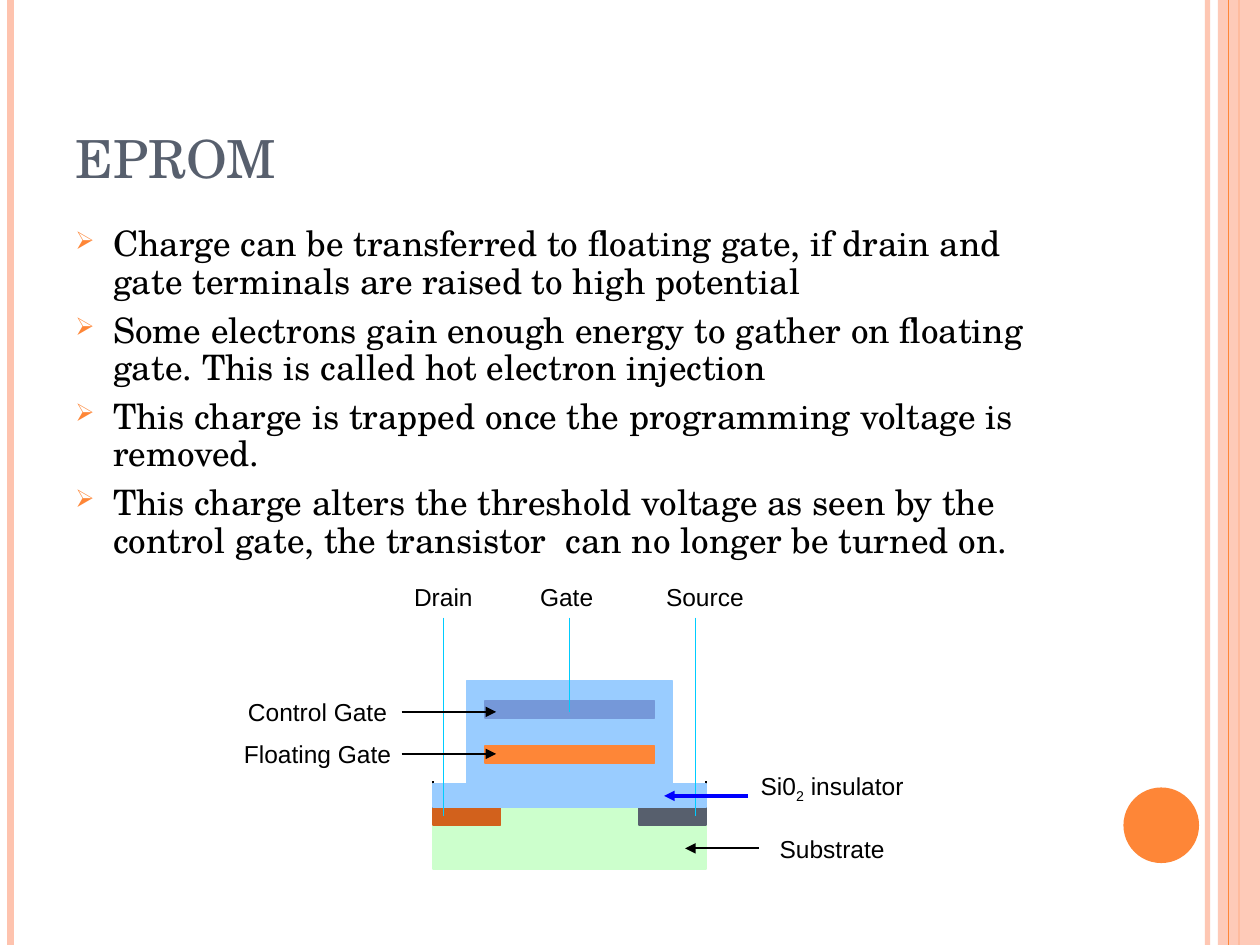
from lxml import etree
from pptx import Presentation
from pptx.dml.color import RGBColor
from pptx.enum import shapes, text
from pptx.oxml.ns import qn
from pptx.util import Pt

SERIF, SANS = "TeX Gyre Schola", "Arial"
PEACH, ORANGE, SLATE = "FEC3AE", "FE8637", "575F6D"
BLACK, SKY, CYAN = "000000", "99CCFF", "00CCFF"


def paint(form, color, alpha=100):
    """Give a fill or line fill a solid colour, alpha in percent."""
    form.solid()
    form.fore_color.rgb = RGBColor.from_string(color)
    if alpha < 100:
        for node in form._xPr.iter(qn("a:srgbClr")):
            add(node, "alpha", val=alpha * 1000)


def add(node, tag, **attrs):
    return etree.SubElement(node, qn("a:" + tag),
                            {key: str(val) for key, val in attrs.items()})


class Board:
    def __init__(self, slide):
        self.slide = slide
        self.items = slide.shapes

    def style(self, para, font, size, color):
        for run in para.runs:
            run.font.name, run.font.size = font, Pt(size)
            paint(run.font.fill, color)

    def title(self, words, x, y, w, h):
        box = self.items.title
        box.left, box.top, box.width, box.height = map(Pt, (x, y, w, h))
        frame = box.text_frame
        frame.text = words
        frame.auto_size = text.MSO_AUTO_SIZE.NONE
        frame.vertical_anchor = text.MSO_ANCHOR.BOTTOM
        para = frame.paragraphs[0]
        para.alignment = text.PP_ALIGN.LEFT
        self.style(para, SERIF, 30, SLATE)
        para.runs[0].font._element.set("cap", "small")

    def frame(self, x, y, w, h):
        frame = self.items.add_textbox(*map(Pt, (x, y, w, h))).text_frame
        frame.word_wrap = True
        return frame

    def bullets(self, lines, x, y, w, h):
        frame = self.frame(x, y, w, h)
        frame.text = "\n".join(lines)
        for para in frame.paragraphs:
            para.line_spacing, para.space_before = 0.9, Pt(6)
            self.style(para, SERIF, 20, BLACK)
            props = para._p.get_or_add_pPr()
            props.set("marL", str(Pt(21.6)))
            props.set("indent", str(-Pt(21.6)))
            add(add(props, "buClr"), "srgbClr", val=ORANGE)
            add(props, "buSzPct", val=70000)
            add(props, "buChar", char="➢")

    def label(self, words, x, y, w, align=text.PP_ALIGN.CENTER):
        para = self.frame(x, y, w, 24).paragraphs[0]
        para.text = words
        para.alignment = align
        self.style(para, SANS, 14, BLACK)
        return para

    def shape(self, kind, color, x, y, w, h, alpha=100, edge=0):
        item = self.items.add_shape(kind, *map(Pt, (x, y, w, h)))
        item.shadow.inherit = False
        paint(item.fill, color, alpha)
        if edge:
            paint(item.line.fill, color)
            item.line.width = Pt(edge)
        else:
            item.line.fill.background()

    def block(self, color, x, y, w, h):
        self.shape(shapes.MSO_SHAPE.RECTANGLE, color, x, y, w, h, edge=1)

    def line(self, color, x1, y1, x2, y2, width=1, alpha=100, arrow=False):
        item = self.items.add_connector(shapes.MSO_CONNECTOR.STRAIGHT,
                                        *map(Pt, (x1, y1, x2, y2)))
        paint(item.line.fill, color, alpha)
        item.line.width = Pt(width)
        if arrow:
            add(item.line._get_or_add_ln(), "tailEnd", type="triangle")
        add(item._element.spPr, "effectLst")


def decorate(board):
    kinds = shapes.MSO_SHAPE
    for color, x, width, alpha in ((PEACH, 690, 3, 93), (PEACH, 6, 4.5, 100),
                                   (ORANGE, 708, 1.5, 100)):
        board.line(color, x, 0, x, 540, width, alpha)
    board.shape(kinds.RECTANGLE, PEACH, 696, 0, 24, 540, alpha=87)
    board.line(ORANGE, 702, 0, 702, 540, 0.75)
    board.shape(kinds.OVAL, ORANGE, 642, 450, 43.2, 43.2)


def draw_cell(board):
    left, wide, top = 247.5, 156, 461.5
    right, well = left + wide, 38.5
    board.block(SKY, 267, 388.8, 117, 59)
    board.block("CCFFCC", left, top, wide, 35)
    board.block("D2611C", left, top, well, 10)
    board.block(SLATE, right - well, top, well, 10)
    for x in (left, right):
        board.line(BLACK, x, top, x, 446.5)
    for color, y in ((ORANGE, 426.2), ("7598D9", 400.4)):
        board.block(color, 277, y, 97, 10)
    board.block(SKY, left, 447.8, wide, 13.7)


def annotate(board):
    pins = board.label("Drain\tGate\tSource", 229.5, 329, 204,
                       text.PP_ALIGN.LEFT)
    pins._p.get_or_add_pPr().set("defTabSz", str(Pt(72)))
    for words, x, y, w in (("Control Gate", 127.5, 394.8, 108),
                           ("Floating Gate", 127.5, 419, 108),
                           ("Substrate", 433.5, 473, 84)):
        board.label(words, x, y, w)

    oxide = board.label("Si0", 421.5, 437, 108)
    for words in ("2", " insulator"):
        oxide.add_run().text = words
    board.style(oxide, SANS, 14, BLACK)
    oxide.runs[1].font._element.set("baseline", "-25000")

    for x, end in ((397.5, 466.5), (253.5, 466.5), (325.5, 407)):
        board.line(CYAN, x, 353, x, end)
    for y in (430.8, 406.8):
        board.line(BLACK, 229.5, y, 283.5, y, arrow=True)
    board.line(BLACK, 433.5, 484.8, 391.5, 484.8, arrow=True)
    board.line("0000FF", 427.5, 454.8, 379.5, 454.8, 2, arrow=True)


def main():
    deck = Presentation()
    deck.slide_width, deck.slide_height = Pt(720), Pt(540)
    board = Board(deck.slides.add_slide(deck.slide_layouts[5]))
    decorate(board)
    board.title("EPROM", 36, 21.6, 588, 90)
    board.bullets((
        "Charge can be transferred to floating gate, if drain and gate "
        "terminals are raised to high potential",
        "Some electrons gain enough energy to gather on floating gate. "
        "This is called hot electron injection",
        "This charge is trapped once the programming voltage is removed.",
        "This charge alters the threshold voltage as seen by the control "
        "gate, the transistor  can no longer be turned on.",
    ), 36, 126, 588, 384)
    draw_cell(board)
    annotate(board)
    deck.save("out.pptx")


if __name__ == "__main__":
    main()
